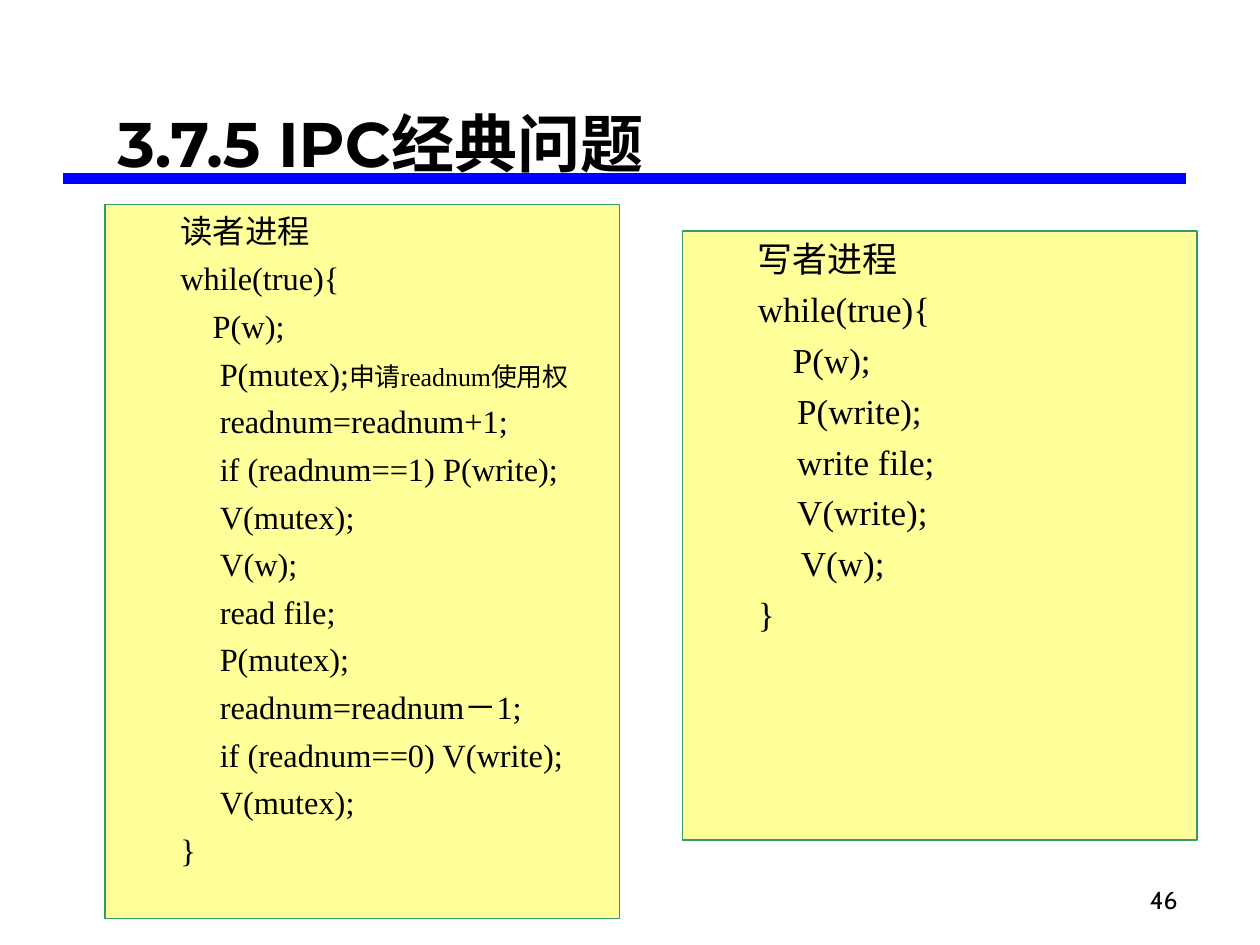
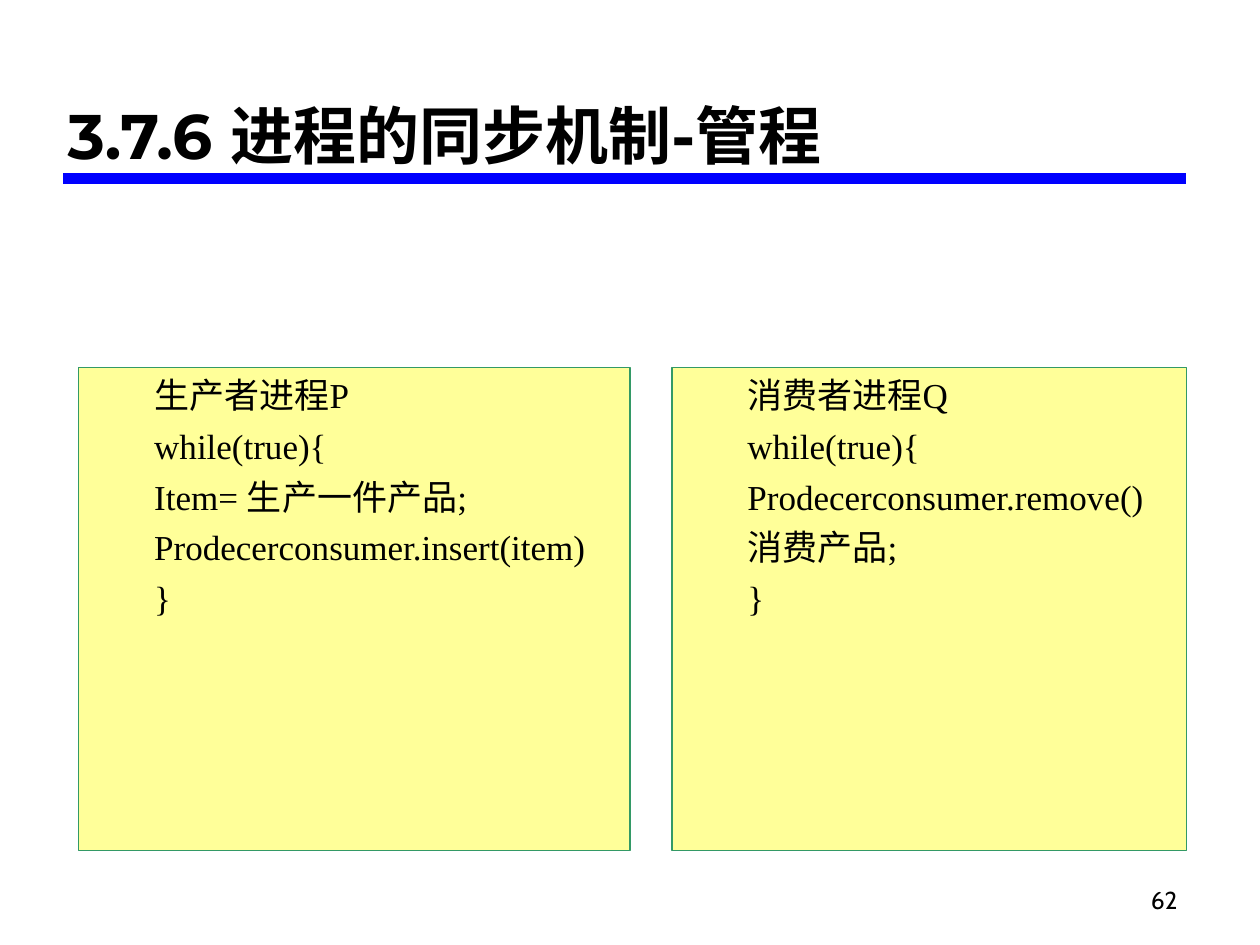
from lxml import etree
from pptx import Presentation
from pptx import util as u
from pptx.dml.color import RGBColor
from pptx.enum import shapes, text
from pptx.oxml import ns

BLACK = RGBColor(0x00, 0x00, 0x00)
BLUE = RGBColor(0x00, 0x00, 0xFF)
GREEN = RGBColor(0x33, 0x99, 0x66)
CREAM = RGBColor(0xFF, 0xFF, 0x99)
SERIF = "Times New Roman"

reader = [
    "读者进程",
    "while(true){",
    "    P(w);",
    "\tP(mutex);|申请readnum使用权",
    "\treadnum=readnum+1;",
    "\tif (readnum==1) P(write);",
    "\tV(mutex);",
    "     V(w);",
    "\tread file;",
    "\tP(mutex);",
    "\treadnum=readnum－1;",
    "\tif (readnum==0) V(write);",
    "\tV(mutex);",
    "}",
]
writer = [
    "写者进程",
    "while(true){",
    "    P(w);",
    "\tP(write);",
    "\twrite file;",
    "\tV(write);",
    "     V(w);",
    "}",
]
maker = [
    "生产者进程P",
    "while(true){",
    "Item= 生产一件产品;",
    "Prodecerconsumer.insert(item)",
    "}",
]
user = [
    "消费者进程Q",
    "while(true){",
    "Prodecerconsumer.remove()",
    "消费产品;",
    "}",
]
pages = [
    ("3.7.5 IPC经典问题", (60, 16.5), "46", [
        (reader, 18.5, (60, 117, 294, 408)),
        (writer, 20, (390, 132, 294, 348)),
    ]),
    ("3.7.6 进程的同步机制-管程", (31.5, 12), "62", [
        (maker, 20, (45, 210, 315, 276)),
        (user, 20, (384, 210, 294, 276)),
    ]),
]


def add_run(par, words, size, face, bold=False):
    run = par.add_run()
    run.text = words
    run.font.size = u.Pt(size)
    run.font.name = face
    run.font.bold = bold
    run.font.color.rgb = BLACK


def add_code(slide, lines, size, area):
    box = slide.shapes.add_shape(shapes.MSO_SHAPE.RECTANGLE, *map(u.Pt, area))
    box.shadow.inherit = False
    box.fill.solid()
    box.fill.fore_color.rgb = CREAM
    box.line.color.rgb = GREEN
    box.line.width = u.Pt(0.75)
    frame = box.text_frame
    frame.word_wrap = True
    frame.vertical_anchor = text.MSO_ANCHOR.TOP
    for row, line in enumerate(lines):
        par = frame.add_paragraph() if row else frame.paragraphs[0]
        par.alignment = text.PP_ALIGN.LEFT
        par.level = 1
        par.space_before = u.Pt(5 if row else 0)
        props = par._p.get_or_add_pPr()
        props.set("marL", str(u.Pt(58.5)))
        props.set("indent", str(u.Pt(-22.5)))
        code, _, note = line.partition("|")
        add_run(par, code, size, SERIF)
        if note:
            add_run(par, note, 14.8, SERIF)


deck = Presentation()
deck.slide_width = u.Pt(720)
deck.slide_height = u.Pt(540)

for head, (left, top), number, boxes in pages:
    slide = deck.slides.add_slide(deck.slide_layouts[5])

    title = slide.shapes.title
    title.left, title.top = u.Pt(left), u.Pt(top)
    title.width, title.height = u.Pt(646), u.Pt(90)
    frame = title.text_frame
    frame.auto_size = text.MSO_AUTO_SIZE.NONE
    frame.vertical_anchor = text.MSO_ANCHOR.BOTTOM
    par = frame.paragraphs[0]
    par.alignment = text.PP_ALIGN.LEFT
    add_run(par, head, 36, "Montserrat", True)

    rule = slide.shapes.add_connector(
        shapes.MSO_CONNECTOR.STRAIGHT, u.Pt(36), u.Pt(102), u.Pt(678), u.Pt(102))
    rule.line.color.rgb = BLUE
    rule.line.width = u.Pt(6)
    etree.SubElement(rule._element.spPr, ns.qn("a:effectLst"))
    title._element.addprevious(rule._element)

    foot = slide.shapes.add_textbox(u.Pt(530), u.Pt(490), u.Pt(150), u.Pt(36))
    frame = foot.text_frame
    frame.word_wrap = True
    frame.vertical_anchor = text.MSO_ANCHOR.BOTTOM
    par = frame.paragraphs[0]
    par.alignment = text.PP_ALIGN.RIGHT
    add_run(par, number, 14, "Cabin")

    for lines, size, area in boxes:
        add_code(slide, lines, size, area)

deck.save("out.pptx")
